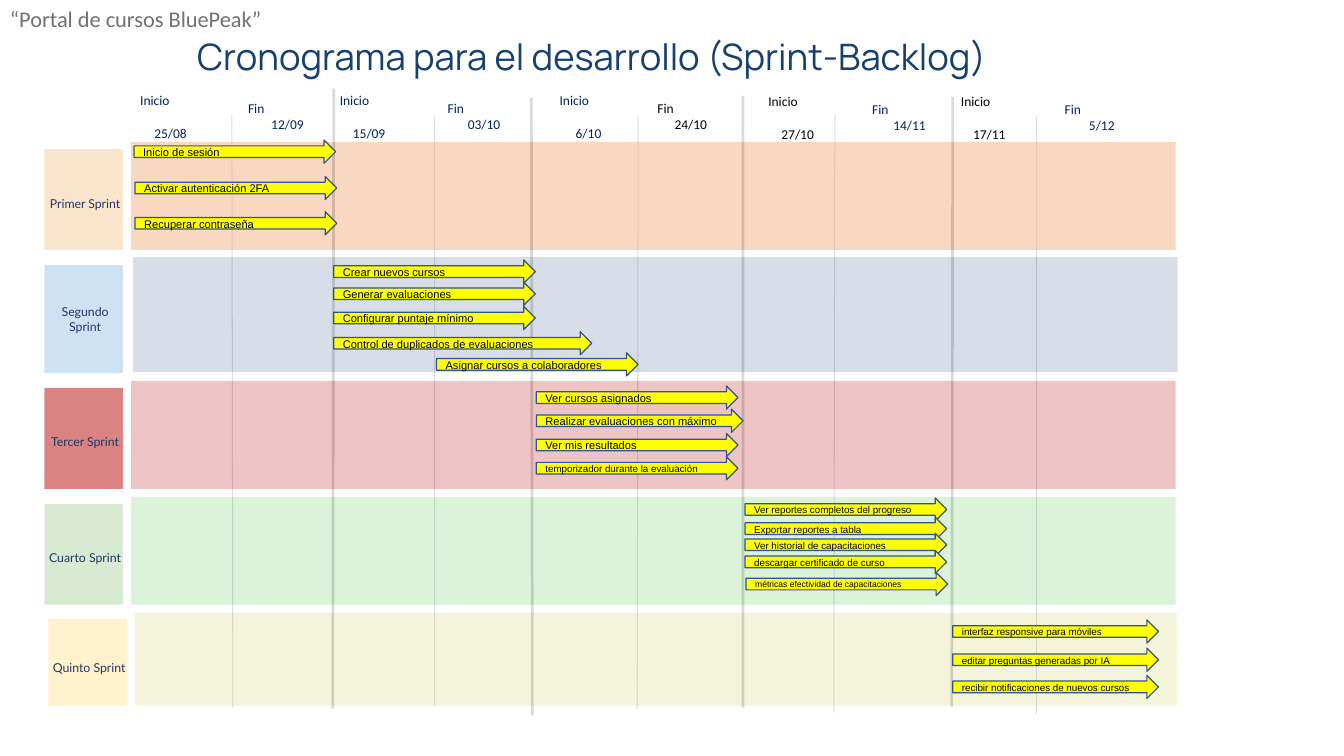
from dataclasses import dataclass

from lxml.etree import SubElement
from pptx import Presentation
from pptx.dml.color import RGBColor
from pptx.enum.shapes import MSO_CONNECTOR as Connector, MSO_SHAPE as Preset
from pptx.enum.text import MSO_ANCHOR as Anchor, MSO_AUTO_SIZE as AutoSize, PP_ALIGN as Align
from pptx.oxml.ns import qn
from pptx.util import Pt

PX = 9144  # EMU per px, 100 px to the inch

NAVY = RGBColor(0x00, 0x20, 0x60)
BLACK = RGBColor(0x00, 0x00, 0x00)
TITLE_BLUE = RGBColor(0x17, 0x40, 0x6D)
LABEL_BLUE = RGBColor(0x20, 0x38, 0x64)
GRAY = RGBColor(0x75, 0x70, 0x70)
YELLOW = RGBColor(0xFF, 0xFF, 0x00)
ARROW_EDGE = RGBColor(0x31, 0x53, 0x8F)
PEACH = RGBColor(0xFC, 0xE5, 0xCD)
ORANGE = RGBColor(0xF4, 0xB0, 0x81)
SKY = RGBColor(0xCF, 0xE2, 0xF3)
RED = RGBColor(0xB7, 0x00, 0x00)
SAGE = RGBColor(0xD9, 0xEA, 0xD3)
GREEN = RGBColor(0x13, 0xB7, 0x00)
CREAM = RGBColor(0xFF, 0xF2, 0xCC)
OLIVE = RGBColor(0xB2, 0xB7, 0x00)


@dataclass
class Box:
    left: int
    top: int
    width: int
    height: int

    def emu(self) -> tuple[int, ...]:
        return tuple(n * PX for n in (self.left, self.top, self.width, self.height))


@dataclass
class Task:
    name: str
    left: int
    top: int
    width: int = 200
    size: float = 7.9


@dataclass
class Sprint:
    name: str
    tag: Box
    tag_color: RGBColor
    tag_opacity: int
    label_height: int
    band: Box
    band_color: RGBColor
    band_opacity: int
    tasks: list[Task]


@dataclass
class Milestone:
    word: str
    date: str
    left: int
    top: int
    width: int
    date_indent: int
    color: RGBColor = NAVY


@dataclass
class Divider:
    x1: int
    y1: int
    x2: int
    y2: int


SPRINTS = [
    Sprint("Primer Sprint", Box(44, 148, 78, 100), PEACH, 100, 71,
           Box(130, 141, 1036, 107), ORANGE, 49, [
               Task("Inicio de sesión", 133, 139),
               Task("Activar autenticación 2FA", 134, 175),
               Task("Recuperar contraseña", 134, 210)]),
    Sprint("Segundo Sprint", Box(44, 263, 78, 107), SKY, 100, 71,
           Box(132, 255, 1036, 114), NAVY, 15, [
               Task("Crear nuevos cursos", 331, 258),
               Task("Generar evaluaciones", 331, 280),
               Task("Configurar puntaje mínimo", 331, 304),
               Task("Control de duplicados de evaluaciones", 331, 329, 256),
               Task("Asignar cursos a colaboradores", 433, 350)]),
    Sprint("Tercer Sprint", Box(44, 385, 78, 100), RED, 49, 71,
           Box(130, 378, 1036, 107), RED, 23, [
               Task("Ver cursos asignados", 532, 383),
               Task("Realizar evaluaciones con máximo", 532, 406, 205),
               Task("Ver mis resultados", 532, 430),
               Task("temporizador durante la evaluación", 532, 453, size=7)]),
    Sprint("Cuarto Sprint", Box(44, 500, 78, 100), SAGE, 100, 71,
           Box(130, 493, 1036, 107), GREEN, 15, [
               Task("Ver reportes completos del progreso", 739, 494, size=7),
               Task("Exportar reportes a tabla", 739, 513, size=7),
               Task("Ver historial de capacitaciones", 739, 529, size=7),
               Task("descargar certificado de curso", 739, 546, size=7),
               Task("métricas efectividad de capacitaciones", 740, 568, size=6.1)]),
    Sprint("Quinto Sprint", Box(48, 614, 78, 86), CREAM, 100, 61,
           Box(134, 608, 1033, 92), OLIVE, 15, [
               Task("interfaz responsive para móviles", 945, 615, 204, 7),
               Task("editar preguntas generadas por IA", 945, 643, 204, 7),
               Task("recibir notificaciones de nuevos cursos", 945, 670, 204, 7)]),
]

MILESTONES = [
    Milestone("Inicio", "25/08", 130, 101, 80, 14),
    Milestone("Fin", "12/09", 237, 101, 75, 23),
    Milestone("Inicio", "15/09", 328, 101, 75, 13),
    Milestone("Fin", "03/10", 435, 101, 75, 20),
    Milestone("Inicio", "6/10", 546, 101, 75, 16),
    Milestone("Fin", "24/10", 643, 101, 75, 17, BLACK),
    Milestone("Inicio", "27/10", 753, 102, 75, 13, BLACK),
    Milestone("Fin", "14/11", 856, 102, 75, 21),
    Milestone("Inicio", "17/11", 944, 102, 75, 12, BLACK),
    Milestone("Fin", "5/12", 1047, 102, 75, 24),
]

MID_DIVIDERS = [Divider(230, 114, 231, 702), Divider(431, 116, 431, 701),
                Divider(633, 115, 632, 704), Divider(828, 113, 827, 707),
                Divider(1028, 115, 1028, 708)]
SPRINT_DIVIDERS = [Divider(331, 88, 330, 703), Divider(527, 97, 528, 710),
                   Divider(737, 95, 737, 702), Divider(945, 96, 944, 701)]


def set_opacity(shape, percent: int) -> None:
    for color in shape._element.spPr.iter(qn("a:srgbClr")):
        SubElement(color, qn("a:alpha"), val=str(percent * 1000))


def set_frame(frame, side: int, edge: int, anchor=Anchor.MIDDLE) -> None:
    frame.word_wrap = True
    frame.auto_size = AutoSize.NONE
    frame.vertical_anchor = anchor
    frame.margin_left = frame.margin_right = side * PX
    frame.margin_top = frame.margin_bottom = edge * PX


def add_run(paragraph, text: str, font: str, size: float, color: RGBColor) -> None:
    run = paragraph.add_run()
    run.text = text
    run.font.name = font
    run.font.size = Pt(size)
    run.font.color.rgb = color


def add_divider(shapes, divider: Divider, color: RGBColor, weight: float) -> None:
    ends = (n * PX for n in (divider.x1, divider.y1, divider.x2, divider.y2))
    rule = shapes.add_connector(Connector.STRAIGHT, *ends)
    rule.line.color.rgb = color
    rule.line.width = Pt(weight)
    set_opacity(rule, 15)
    SubElement(rule._element.spPr, qn("a:effectLst"))


def add_block(shapes, box: Box, color: RGBColor, opacity: int) -> None:
    block = shapes.add_shape(Preset.RECTANGLE, *box.emu())
    block.shadow.inherit = False
    block.fill.solid()
    block.fill.fore_color.rgb = color
    block.line.fill.background()
    if opacity < 100:
        set_opacity(block, opacity)


def add_sprint(shapes, sprint: Sprint) -> None:
    add_block(shapes, sprint.tag, sprint.tag_color, sprint.tag_opacity)
    add_block(shapes, sprint.band, sprint.band_color, sprint.band_opacity)
    label_box = Box(sprint.tag.left + 4, sprint.tag.top + 18, 73, sprint.label_height)
    label = shapes.add_textbox(*label_box.emu()).text_frame
    set_frame(label, 0, 0)
    label.paragraphs[0].alignment = Align.CENTER
    add_run(label.paragraphs[0], sprint.name, "Lato", 8.8, LABEL_BLUE)


def add_task(shapes, task: Task) -> None:
    arrow = shapes.add_shape(Preset.RIGHT_ARROW, *Box(task.left, task.top, task.width, 23).emu())
    arrow.shadow.inherit = False
    arrow.fill.solid()
    arrow.fill.fore_color.rgb = YELLOW
    arrow.line.color.rgb = ARROW_EDGE
    arrow.line.width = Pt(0.88)
    set_frame(arrow.text_frame, 9, 4)
    paragraph = arrow.text_frame.paragraphs[0]
    paragraph.alignment = Align.LEFT
    paragraph.line_spacing = 1.08
    paragraph.space_after = Pt(7)
    add_run(paragraph, task.name, "Arial", task.size, BLACK)


def add_milestone(shapes, stone: Milestone) -> None:
    frame = shapes.add_textbox(*Box(stone.left, stone.top, stone.width, 29).emu()).text_frame
    set_frame(frame, 9, 4)
    add_run(frame.paragraphs[0], stone.word, "Calibri", 9.6, stone.color)
    date = frame.add_paragraph()
    date._p.get_or_add_pPr().set("marL", str(stone.date_indent * PX))
    # Start dates sit one line lower than end dates
    date.space_before = Pt(11.7 if stone.word == "Inicio" else 0)
    add_run(date, stone.date, "Calibri", 9.6, stone.color)


def main() -> None:
    deck = Presentation()
    deck.slide_width, deck.slide_height = 1333 * PX, 750 * PX
    slide = deck.slides.add_slide(deck.slide_layouts[5])
    shapes = slide.shapes

    # Title and project name
    title = shapes.title
    title.left, title.top, title.width, title.height = Box(99, 31, 977, 52).emu()
    set_frame(title.text_frame, 3, 3, Anchor.TOP)
    heading = title.text_frame.paragraphs[0]
    heading.alignment = Align.CENTER
    add_run(heading, "Cronograma para el desarrollo (Sprint-Backlog)", "Manrope", 26, TITLE_BLUE)
    project = shapes.add_textbox(*Box(0, 0, 294, 37).emu()).text_frame
    set_frame(project, 10, 5, Anchor.TOP)
    add_run(project.paragraphs[0], "“Portal de cursos BluePeak”", "Calibri", 16, GRAY)

    # Sprint rows between the two sets of dividers
    for divider in MID_DIVIDERS:
        add_divider(shapes, divider, NAVY, 0.75)
    for sprint in SPRINTS:
        add_sprint(shapes, sprint)
    for divider in SPRINT_DIVIDERS:
        add_divider(shapes, divider, BLACK, 1.97)

    # Dates and tasks
    for stone in MILESTONES:
        add_milestone(shapes, stone)
    for sprint in SPRINTS:
        for task in sprint.tasks:
            add_task(shapes, task)

    deck.save("out.pptx")


if __name__ == "__main__":
    main()
